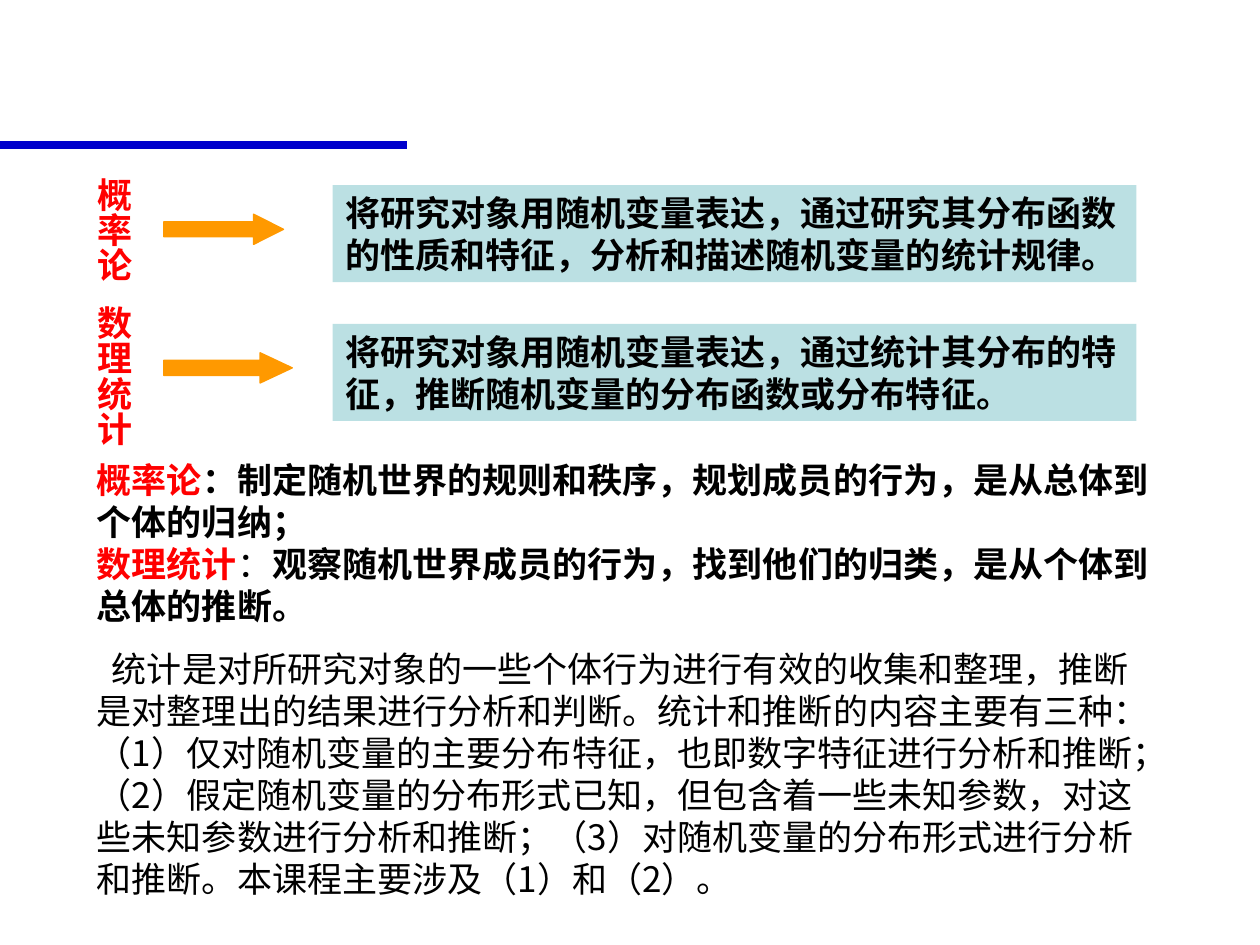
"""Build the slide that sets probability theory beside mathematical statistics."""
from dataclasses import dataclass
from typing import NamedTuple

from lxml.etree import SubElement
from pptx import Presentation
from pptx.dml.color import RGBColor
from pptx.enum.shapes import MSO_CONNECTOR, MSO_SHAPE
from pptx.enum.text import MSO_ANCHOR, MSO_AUTO_SIZE, PP_ALIGN
from pptx.oxml.ns import qn
from pptx.shapes.base import BaseShape
from pptx.slide import Slide
from pptx.text.text import TextFrame
from pptx.util import Inches, Pt


@dataclass(frozen=True)
class Theme:
    """Hold the colours, fonts and sizes."""
    ink: RGBColor = RGBColor(0, 0, 0)
    red: RGBColor = RGBColor(0xFF, 0, 0)
    blue: RGBColor = RGBColor(0, 0, 0xCC)
    teal: RGBColor = RGBColor(0xBB, 0xE0, 0xE3)
    gold: RGBColor = RGBColor(0xFF, 0x99, 0)
    size: Pt = Pt(20)
    thin: Pt = Pt(0.75)
    thick: Pt = Pt(4.5)
    latin: str = "Arial"
    asian: str = "Noto Sans CJK SC"


THEME = Theme()


class Span(NamedTuple):
    """Describe one run of text."""
    text: str
    color: RGBColor = THEME.ink
    bold: bool = True


class Box(NamedTuple):
    """Give a place in inches."""
    left: float
    top: float
    width: float
    height: float

    def lengths(self) -> list[Inches]:
        """Return the place as lengths."""
        return [Inches(side) for side in self]


class Branch(NamedTuple):
    """Describe one subject with its arrow and its meaning."""
    name: str
    text: str
    top: float
    label: Box
    reach: float


BRANCHES = [
    Branch("概率论", "将研究对象用随机变量表达，通过研究其分布函数的性质和特征，分析和描述随机变量的统计规律。",
           1.47, Box(0.59, 1.31, 0.53, 0.94), 0.95),
    Branch("数理统计", "将研究对象用随机变量表达，通过统计其分布的特征，推断随机变量的分布函数或分布特征。",
           2.57, Box(0.59, 2.33, 0.53, 1.22), 1.02),
]
ROLES = [
    [Span("概率论", THEME.red),
     Span("：制定随机世界的规则和秩序，规划成员的行为，是从总体到个体的归纳；")],
    [Span("数理统计", THEME.red), Span("：", bold=False),
     Span("观察随机世界成员的行为，找到他们的归类，是从个体到总体的推断。")],
]
SCOPE = [[Span(
    "统计是对所研究对象的一些个体行为进行有效的收集和整理，推断是对整理出的结果进行分析和判断。"
    "统计和推断的内容主要有三种：（1）仅对随机变量的主要分布特征，也即数字特征进行分析和推断；"
    "（2）假定随机变量的分布形式已知，但包含着一些未知参数，对这些未知参数进行分析和推断；"
    "（3）对随机变量的分布形式进行分析和推断。本课程主要涉及（1）和（2）。", bold=False)]]


def write(frame: TextFrame, paras: list[list[Span]], face: str, indent: float = 0) -> None:
    """Fill a frame run by run."""
    frame.auto_size = MSO_AUTO_SIZE.SHAPE_TO_FIT_TEXT
    frame.vertical_anchor = MSO_ANCHOR.TOP
    for count, spans in enumerate(paras):
        para = frame.add_paragraph() if count else frame.paragraphs[0]
        para.alignment = PP_ALIGN.LEFT
        if indent:
            para._p.get_or_add_pPr().set("indent", str(Inches(indent)))
        for span in spans:
            run = para.add_run()
            run.text = span.text
            font = run.font
            font.size, font.bold, font.name = THEME.size, span.bold, face
            font.color.rgb = span.color
            SubElement(run._r.get_or_add_rPr(), qn("a:ea"), typeface=THEME.asian)


def add_text(slide: Slide, box: Box, paras: list[list[Span]], indent: float = 0) -> None:
    """Add a wrapped block of text."""
    frame = slide.shapes.add_textbox(*box.lengths()).text_frame
    frame.word_wrap = True
    write(frame, paras, THEME.asian, indent)


def add_label(slide: Slide, box: Box, name: str) -> None:
    """Add a name that runs downward."""
    shape = slide.shapes.add_textbox(*box.lengths())
    frame = shape.text_frame
    frame.word_wrap = False
    frame.margin_left = frame.margin_right = Inches(0.05)
    frame.margin_top = frame.margin_bottom = Inches(0.1)
    shape.element.txBody.bodyPr.set("vert", "eaVert")
    write(frame, [[Span(name, THEME.red)]], THEME.latin)


def add_form(slide: Slide, kind: MSO_SHAPE, box: Box, color: RGBColor) -> BaseShape:
    """Add a flat preset shape."""
    shape = slide.shapes.add_shape(kind, *box.lengths())
    shape.shadow.inherit = False
    shape.fill.solid()
    shape.fill.fore_color.rgb = color
    shape.line.fill.background()
    return shape


def add_branch(slide: Slide, branch: Branch) -> None:
    """Add a subject, its arrow and its meaning."""
    add_label(slide, branch.label, branch.name)
    high = 0.24
    arrow = add_form(slide, MSO_SHAPE.RIGHT_ARROW,
                     Box(1.3, branch.top + 0.23, branch.reach, high), THEME.gold)
    arrow.adjustments[1] = branch.reach / high / 4
    arrow.line.color.rgb = THEME.gold
    arrow.line.width = THEME.thin
    panel = add_form(slide, MSO_SHAPE.RECTANGLE, Box(2.64, branch.top, 6.38, 0.77), THEME.teal)
    panel.text_frame.word_wrap = True
    write(panel.text_frame, [[Span(branch.text)]], THEME.latin)


def add_rule(slide: Slide) -> None:
    """Add the heavy rule at the top."""
    level = Inches(1.15)
    rule = slide.shapes.add_connector(MSO_CONNECTOR.STRAIGHT, 0, level, Inches(3.23), level)
    rule.line.color.rgb = THEME.blue
    rule.line.width = THEME.thick
    SubElement(rule.element.spPr, qn("a:effectLst"))


def main() -> None:
    """Build and save the slide."""
    deck = Presentation()
    deck.slide_width, deck.slide_height = Inches(10), Inches(7.5)
    slide = deck.slides.add_slide(deck.slide_layouts[6])
    add_text(slide, Box(0.67, 3.59, 8.58, 1.44), ROLES)
    add_text(slide, Box(0.67, 5.09, 8.58, 2.1), SCOPE, 0.12)
    for branch in BRANCHES:
        add_branch(slide, branch)
    add_rule(slide)
    deck.save("out.pptx")


if __name__ == "__main__":
    main()
